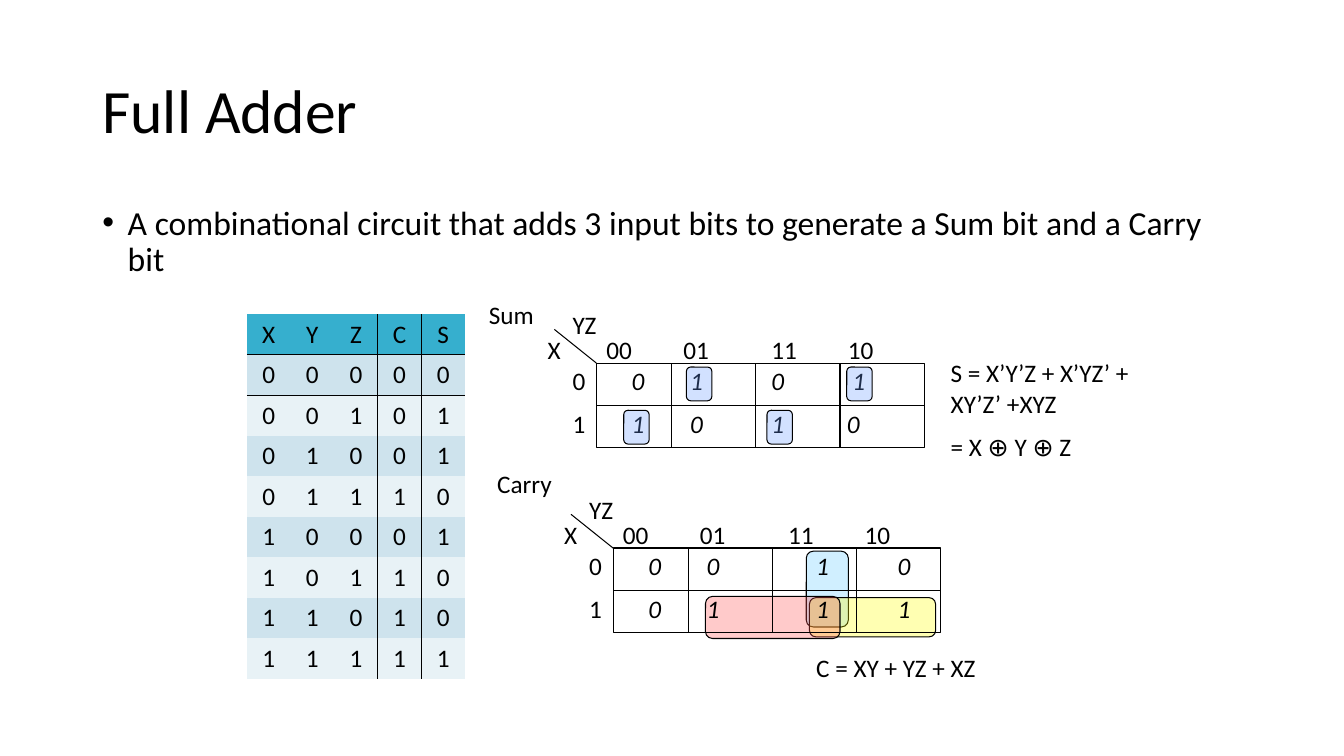
"""Build the Full Adder slide with its truth table and Karnaugh maps."""
from dataclasses import dataclass
from itertools import product

from lxml.etree import SubElement
from pptx import Presentation
from pptx.dml.color import RGBColor
from pptx.enum.shapes import MSO_CONNECTOR, MSO_SHAPE
from pptx.enum.text import MSO_ANCHOR, PP_ALIGN
from pptx.oxml.ns import qn
from pptx.util import Cm, Pt

BLACK = RGBColor(0x00, 0x00, 0x00)
HEADER = RGBColor(0x36, 0xAF, 0xCE)
BANDS = (RGBColor(0xE8, 0xF2, 0xF6), RGBColor(0xCE, 0xE3, 0xED))
SKY = RGBColor(0x66, 0xCC, 0xFF)
YELLOW = RGBColor(0xFF, 0xFF, 0x00)
RED = RGBColor(0xFF, 0x50, 0x50)
BLUE = RGBColor(0x66, 0x99, 0xFF)
FONT = "Calibri"
THIN = Pt(0.75)
NO_STYLE = "{2D5ABB26-0587-4C30-8999-92F81FD0307C}"
MAP_WIDTH, MAP_HEIGHT = 8.26, 2.12
MAP_DIVIDERS = (1.9, 4.02, 6.14)
HEADING_TABS = (1.94, 4.16, 6.09)


@dataclass(frozen=True)
class Label:
    """A text box in centimetres, with one tab-stop tuple per paragraph."""
    left: float
    top: float
    width: float
    height: float
    lines: tuple[str, ...]
    tabs: tuple[tuple[float, ...], ...] = ()
    size: int = 18
    italic: bool = False
    space_before: int = 9
    line_spacing: float = 1.0


@dataclass(frozen=True)
class Loop:
    """A translucent loop around adjacent ones."""
    left: float
    top: float
    width: float
    height: float
    color: RGBColor
    opacity: int


@dataclass(frozen=True)
class KarnaughMap:
    """A two-by-four map with its cell values."""
    left: float
    top: float
    values: tuple[str, str]
    tabs: tuple[tuple[float, ...], tuple[float, ...]]


def add_label(label: Label):
    """Draw a label and return its text frame."""
    frame = slide.shapes.add_textbox(
        Cm(label.left), Cm(label.top), Cm(label.width), Cm(label.height)).text_frame
    frame.word_wrap = True
    frame.text = "\n".join(label.lines)
    for index, paragraph in enumerate(frame.paragraphs):
        paragraph.space_before = Pt(label.space_before)
        paragraph.line_spacing = label.line_spacing
        for run in paragraph.runs:
            font = run.font
            font.name, font.size, font.italic = FONT, Pt(label.size), label.italic
            font.color.rgb = BLACK
        if label.tabs:
            stops = SubElement(paragraph._p.get_or_add_pPr(), qn("a:tabLst"))
            for position in label.tabs[index]:
                SubElement(stops, qn("a:tab"), pos=str(Cm(position)), algn="l")
    return frame


def add_loop(loop: Loop) -> None:
    """Draw a rounded loop with a translucent fill."""
    outline = slide.shapes.add_shape(
        MSO_SHAPE.ROUNDED_RECTANGLE, Cm(loop.left), Cm(loop.top), Cm(loop.width), Cm(loop.height))
    outline.shadow.inherit = False
    outline.fill.solid()
    outline.fill.fore_color.rgb = loop.color
    color = outline._element.spPr.find(f"{qn('a:solidFill')}/{qn('a:srgbClr')}")
    SubElement(color, qn("a:alpha"), val=str(loop.opacity * 1000))
    outline.line.color.rgb = BLACK
    outline.line.width = THIN


def add_line(x1: float, y1: float, x2: float, y2: float) -> None:
    """Draw a thin black line."""
    rule = slide.shapes.add_connector(MSO_CONNECTOR.STRAIGHT, Cm(x1), Cm(y1), Cm(x2), Cm(y2))
    rule.line.color.rgb = BLACK
    rule.line.width = THIN
    SubElement(rule._element.spPr, qn("a:effectLst"))


def add_map(kmap: KarnaughMap) -> None:
    """Draw a Karnaugh map with its axis headings and values."""
    x, y = kmap.left, kmap.top
    border = slide.shapes.add_shape(
        MSO_SHAPE.RECTANGLE, Cm(x), Cm(y), Cm(MAP_WIDTH), Cm(MAP_HEIGHT))
    border.shadow.inherit = False
    border.fill.background()
    border.line.color.rgb = BLACK
    border.line.width = THIN
    middle = y + MAP_HEIGHT / 2
    add_line(x, middle, x + MAP_WIDTH, middle)
    for divider in MAP_DIVIDERS:
        add_line(x + divider, y, x + divider, y + MAP_HEIGHT)
    add_line(x, y, x - 1.06, y - 0.85)
    add_label(Label(x - 1.48, y - 0.85, 1.27, 1.02, ("X",)))
    add_label(Label(x - 0.85, y - 1.48, 1.48, 1.02, ("YZ",)))
    add_label(Label(x - 0.85, y - 0.06, 0.85, 2.15, ("0", "1")))
    add_label(Label(x, y - 0.85, 8.89, 1.02, ("00\t01\t11\t10",), (HEADING_TABS,)))
    rows = tuple("\t".join(bits) for bits in kmap.values)
    add_label(Label(x + 0.64, y - 0.06, 7.62, 2.15, rows, kmap.tabs, italic=True))


def add_border(cell, side: str) -> None:
    """Add a black border to one side of a cell."""
    edge = SubElement(cell._tc.get_or_add_tcPr(), qn(f"a:ln{side}"), w=str(Pt(1)))
    SubElement(SubElement(edge, qn("a:solidFill")), qn("a:srgbClr"), val=str(BLACK))


def add_truth_table() -> None:
    """Draw the truth table, computing the carry and sum bits."""
    rows = ["XYZCS"]
    for bits in product((0, 1), repeat=3):
        carry, total = divmod(sum(bits), 2)
        rows.append("".join(map(str, (*bits, carry, total))))
    table = slide.shapes.add_table(
        len(rows), 5, Cm(6.22), Cm(7.92), Cm(5.5), Cm(9.18)).table
    table._tbl.tblPr.find(qn("a:tableStyleId")).text = NO_STYLE
    for row_index, row in enumerate(rows):
        table.rows[row_index].height = Cm(1.02)
        for column, symbol in enumerate(row):
            cell = table.cell(row_index, column)
            sides = {"L": column == 3, "R": column == 2, "T": row_index == 1, "B": row_index == 0}
            for side, present in sides.items():
                if present:
                    add_border(cell, side)
            cell.fill.solid()
            cell.fill.fore_color.rgb = BANDS[row_index % 2] if row_index else HEADER
            cell.text_frame.text = symbol
            paragraph = cell.text_frame.paragraphs[0]
            paragraph.alignment = PP_ALIGN.CENTER
            font = paragraph.runs[0].font
            font.name, font.size = FONT, Pt(18)
            font.color.rgb = BLACK


presentation = Presentation()
presentation.slide_width, presentation.slide_height = Cm(33.87), Cm(19.05)
slide = presentation.slides.add_slide(presentation.slide_layouts[6])

title = add_label(Label(2.33, 1.01, 29.21, 3.68, ("Full Adder",),
                        size=44, space_before=0, line_spacing=0.9))
title.vertical_anchor = MSO_ANCHOR.MIDDLE
definition = add_label(Label(
    2.33, 5.07, 29.21, 2.2,
    ("A combinational circuit that adds 3 input bits to generate a Sum bit and a Carry bit",),
    size=24, space_before=10, line_spacing=0.9))
bullet = definition.paragraphs[0]._p.get_or_add_pPr()
bullet.set("marL", str(Cm(0.64)))
bullet.set("indent", str(-Cm(0.64)))
SubElement(bullet, qn("a:buFont"), typeface="Arial")
SubElement(bullet, qn("a:buChar"), char="•")

add_truth_table()
for carry_loop in (Loop(20.32, 13.89, 1.06, 1.91, SKY, 30),
                   Loop(20.4, 15.06, 3.18, 0.99, YELLOW, 30),
                   Loop(17.78, 15.03, 3.39, 1.06, RED, 30)):
    add_loop(carry_loop)

CARRY_TABS = (1.47, 4.23, 6.28)
add_map(KarnaughMap(15.03, 9.15, ("0101", "1010"), ((1.47, 3.52, 5.56), (1.47, 3.52, 5.42))))
add_map(KarnaughMap(15.45, 13.81, ("0010", "0111"), (CARRY_TABS, CARRY_TABS)))

for caption in (
        Label(12.07, 7.41, 2.33, 1.06, ("Sum",)),
        Label(12.28, 11.68, 2.33, 1.02, ("Carry",)),
        Label(23.71, 8.89, 5.5, 2.95, ("S = X’Y’Z + X’YZ’ + XY’Z’ +XYZ", "= X ⊕ Y ⊕ Z")),
        Label(20.32, 16.31, 7.62, 1.02, ("C = XY + YZ + XZ",))):
    add_label(caption)

for loop_left, loop_top in ((21.34, 9.25), (17.3, 9.25), (19.33, 10.34), (15.72, 10.34)):
    add_loop(Loop(loop_left, loop_top, 0.64, 0.85, BLUE, 29))

presentation.save("out.pptx")
